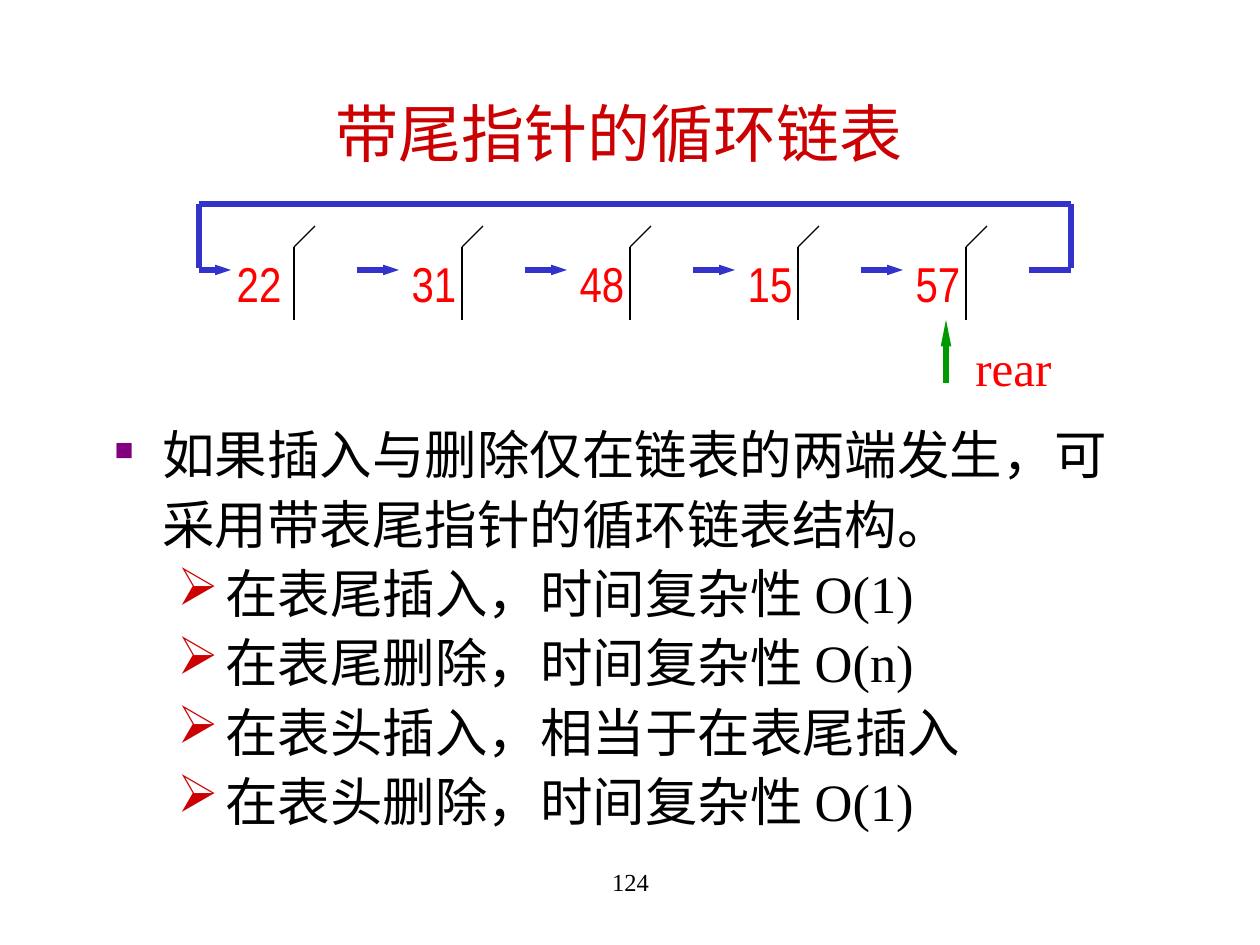
"""Build the slide on a circular linked list with a rear pointer."""
from lxml import etree
from pptx import Presentation
from pptx.dml.color import RGBColor
from pptx.enum.shapes import MSO_CONNECTOR
from pptx.enum.text import MSO_ANCHOR, MSO_AUTO_SIZE, PP_ALIGN
from pptx.oxml.ns import qn
from pptx.util import Pt

STRAIGHT = MSO_CONNECTOR.STRAIGHT
TOP, MIDDLE = MSO_ANCHOR.TOP, MSO_ANCHOR.MIDDLE
CENTER = PP_ALIGN.CENTER
GROW = MSO_AUTO_SIZE.SHAPE_TO_FIT_TEXT
PX = 914400 / 126
SERIF, NARROW = "Times New Roman", "Arial Narrow"
BLACK, RED, DARK_RED, BLUE, GREEN, PURPLE = (
    "000000", "FF0000", "CC0000", "3333CC", "009900", "800080")

deck = Presentation()
deck.slide_width, deck.slide_height = round(1260 * PX), round(945 * PX)
slide = deck.slides.add_slide(deck.slide_layouts[6])


def add_line(x1, y1, x2, y2, color, width, head_length=None):
    line = slide.shapes.add_connector(STRAIGHT, *(round(v * PX) for v in (x1, y1, x2, y2)))
    line.line.color.rgb = RGBColor.from_string(color)
    line.line.width = Pt(width)
    if head_length:
        etree.SubElement(line.line._get_or_add_ln(), qn("a:tailEnd"),
                         type="triangle", w="sm", len=head_length)
    etree.SubElement(line._element.spPr, qn("a:effectLst"))


def add_text(x, y, w, h, lines, size, color, font=SERIF, anchor=MIDDLE, align=CENTER, wrap=True):
    box = slide.shapes.add_textbox(*(round(v * PX) for v in (x, y, w, h)))
    frame = box.text_frame
    frame.word_wrap, frame.vertical_anchor = wrap, anchor
    if not wrap:
        frame.auto_size = GROW
    for index, words in enumerate(lines):
        paragraph = frame.paragraphs[0] if index == 0 else frame.add_paragraph()
        paragraph.alignment = align
        run = paragraph.add_run()
        run.text = words
        run.font.size, run.font.name = Pt(size), font
        run.font.color.rgb = RGBColor.from_string(color)
    return frame


add_text(84, 72, 1071, 120, ["带尾指针的循环链表"], 36, DARK_RED)

node_step, link_y = 168, 270
loop_left, loop_right, loop_top = 199, 1071, 204
values = ["22", "31", "48", "15", "57"]
for index, value in enumerate(values):
    divider = 294 + index * node_step
    add_line(divider, 247, divider, 320, BLACK, 0.75)
    add_line(divider, 247, divider + 21, 226, BLACK, 0.75)
    value_left = divider + (-70 if index == 0 else -63)
    add_text(value_left, 247, 70, 72, [value], 28, RED, NARROW, wrap=False)
    if index < len(values) - 1:
        add_line(divider + 63, link_y, divider + 105, link_y, BLUE, 3, "med")

add_line(1029, link_y, loop_right, link_y, BLUE, 3)
add_line(loop_right, loop_top, loop_right, 268, BLUE, 3)
add_line(loop_right, loop_top, loop_left, loop_top, BLUE, 3)
add_line(loop_left, loop_top, loop_left, 268, BLUE, 3)
add_line(loop_left, link_y, 231, link_y, BLUE, 3, "med")

add_line(946, 383, 946, 320, GREEN, 3, "lg")
add_text(956, 331, 115, 72, ["rear"], 28, RED, wrap=False)

points = [
    "如果插入与删除仅在链表的两端发生，可采用带表尾指针的循环链表结构。",
    "在表尾插入，时间复杂性 O(1)",
    "在表尾删除，时间复杂性 O(n)",
    "在表头插入，相当于在表尾插入",
    "在表头删除，时间复杂性 O(1)",
]
body = add_text(102, 410, 1068, 428, points, 30, BLACK, anchor=TOP, align=None)
for index, paragraph in enumerate(body.paragraphs):
    paragraph.level = min(index, 1)
    paragraph.line_spacing = 1.1
    mark, mark_color, mark_size, indent = (
        ("➢", DARK_RED, 100, 111) if index else ("■", PURPLE, 50, 48))
    properties = paragraph._p.get_or_add_pPr()
    properties.set("marL", str(round(indent * PX)))
    properties.set("indent", str(round(-48 * PX)))
    bullet_color = etree.SubElement(properties, qn("a:buClr"))
    etree.SubElement(bullet_color, qn("a:srgbClr"), val=mark_color)
    etree.SubElement(properties, qn("a:buSzPct"), val=str(mark_size * 1000))
    etree.SubElement(properties, qn("a:buChar"), char=mark)

add_text(431, 861, 399, 63, ["124"], 14, BLACK, anchor=TOP)

deck.save("out.pptx")
